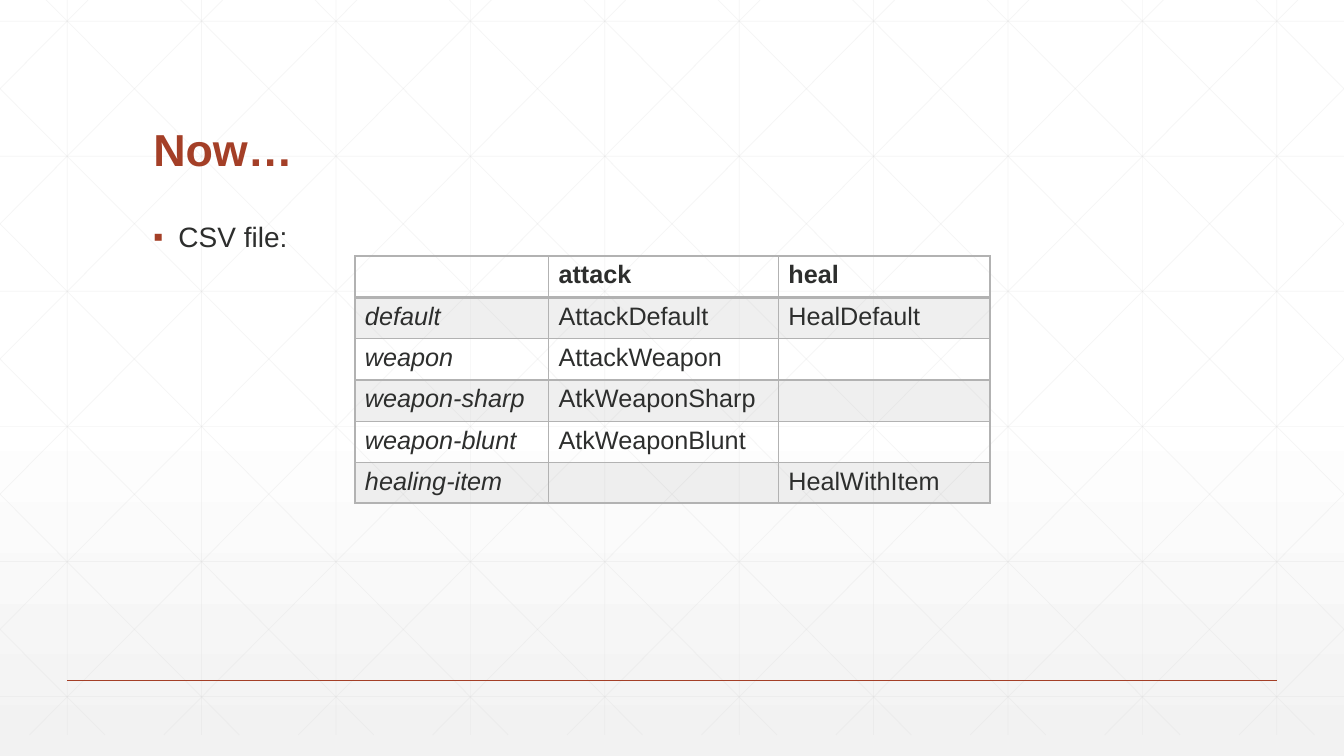
from copy import deepcopy

from lxml import etree
from pptx import Presentation
from pptx import util as u
from pptx.dml.color import RGBColor
from pptx.enum import shapes, text
from pptx.oxml import ns

TITLE = "Now…"
BULLET = "CSV file:"
ROWS = [
    ("", "attack", "heal"),
    ("default", "AttackDefault", "HealDefault"),
    ("weapon", "AttackWeapon", ""),
    ("weapon-sharp", "AtkWeaponSharp", ""),
    ("weapon-blunt", "AtkWeaponBlunt", ""),
    ("healing-item", "", "HealWithItem"),
]
COLORS = {
    "accent": "A43F27", "ink": "2D2E2D", "rule": "B2B2B2",
    "mesh": "D9D9D9", "page": "FFFFFF", "shade": "F2F2F2",
}
FONT = "Arial"
NO_STYLE = "{2D5ABB26-0587-4C30-8999-92F81FD0307C}"
WIDTH, HEIGHT = 13.33, 7.5
CONTENT_LEFT, CONTENT_WIDTH = 1.42, 10.5
TABLE_LEFT, TABLE_TOP = 3.52, 2.54
COLUMN_WIDTHS = [1.92, 2.28, 2.1]
ROW_HEIGHTS = [0.41] * 4 + [0.39] * 2
STEP = WIDTH / 10
MESH_TOP, MESH_BOTTOM = -0.21, 7.29
MESH_ROW, MESH_ROW_STEP = 0.21, 1.34
DIAGONAL_START, DIAGONAL_RUN = 0.25, 7.455


def rgb(name):
    return RGBColor.from_string(COLORS[name])


def add_child(parent, tag, **attributes):
    return etree.SubElement(parent, ns.qn(tag), attributes)


def set_alpha(fill_parent, percent):
    color = fill_parent.find(".//" + ns.qn("a:srgbClr"))
    add_child(color, "a:alpha", val=str(percent * 1000))


def add_line(canvas, start, end, color, width, alpha=None):
    points = [u.Inches(value) for value in (*start, *end)]
    line = canvas.add_connector(shapes.MSO_CONNECTOR.STRAIGHT, *points)
    line.line.color.rgb = rgb(color)
    line.line.width = u.Pt(width)
    properties = line._element.spPr
    if alpha:
        set_alpha(properties, alpha)
    add_child(properties, "a:effectLst")


def add_text(para, words, size, color, bold=False, italic=False):
    span = para.add_run()
    span.text = words
    font = span.font
    font.name, font.size = FONT, u.Pt(size)
    font.bold, font.italic = bold, italic
    font.color.rgb = rgb(color)


def place(box, left, top, width, height):
    box.left, box.top = u.Inches(left), u.Inches(top)
    box.width, box.height = u.Inches(width), u.Inches(height)


def mesh_lines():
    for column in range(10):
        x = STEP * (column + 0.5)
        yield (x, 0), (x, MESH_BOTTOM)
    for row in range(6):
        y = MESH_ROW + MESH_ROW_STEP * row
        yield (0, y), (WIDTH, y)
    slope = (MESH_BOTTOM - MESH_TOP) / DIAGONAL_RUN
    for index in range(-5, 10):
        origin = DIAGONAL_START + STEP * index
        first = max(0, origin - MESH_TOP / slope)
        last = min(WIDTH, origin + DIAGONAL_RUN)
        ends = [(x, MESH_TOP + slope * (x - origin)) for x in (first, last)]
        yield ends
        yield [(WIDTH - x, y) for x, y in ends]


def paint_background(page):
    fill = page.background.fill
    fill.gradient()
    fill.gradient_angle = 270
    stop_list = page.background._cSld.find(".//" + ns.qn("a:gsLst"))
    stop_list.insert(1, deepcopy(stop_list[0]))
    stops = zip(fill.gradient_stops, [0, 0.53, 1], ["page", "page", "shade"])
    for stop, position, color in stops:
        stop.position = position
        stop.color.rgb = rgb(color)


def draw_mesh(page):
    group = page.shapes.add_group_shape()
    for start, end in mesh_lines():
        add_line(group.shapes, start, end, "mesh", 0.5, 25)
    page.shapes._spTree.insert(2, group._element)
    add_line(page.shapes, (STEP / 2, HEIGHT * 0.9),
             (WIDTH - STEP / 2, HEIGHT * 0.9), "accent", 1)


def write_title(page):
    box = page.shapes.title
    place(box, CONTENT_LEFT, 0.55, CONTENT_WIDTH, 1.25)
    box.text_frame.vertical_anchor = text.MSO_ANCHOR.BOTTOM
    box.text_frame.auto_size = text.MSO_AUTO_SIZE.NONE
    para = box.text_frame.paragraphs[0]
    para.alignment = text.PP_ALIGN.LEFT
    para.line_spacing = 0.9
    add_text(para, TITLE, 32, "accent", bold=True)


def write_body(page):
    box = page.placeholders[1]
    place(box, CONTENT_LEFT, 2.17, CONTENT_WIDTH, 4.17)
    box.text_frame.auto_size = text.MSO_AUTO_SIZE.NONE
    para = box.text_frame.paragraphs[0]
    para.line_spacing, para.space_before = 0.9, u.Pt(18)
    properties = para._p.get_or_add_pPr()
    properties.set("marL", str(u.Inches(0.25)))
    properties.set("indent", str(u.Inches(-0.25)))
    add_child(add_child(properties, "a:buClr"), "a:srgbClr", val=COLORS["accent"])
    add_child(properties, "a:buFont", typeface=FONT)
    add_child(properties, "a:buChar", char="▪")
    add_text(para, BULLET, 20, "ink")


def border_cell(cell, widths):
    properties = cell._tc.get_or_add_tcPr()
    for index, (side, width) in enumerate(widths.items()):
        line = etree.Element(ns.qn("a:ln" + side), w=str(u.Pt(width)))
        fill = add_child(line, "a:solidFill")
        add_child(fill, "a:srgbClr", val=COLORS["rule"])
        properties.insert(index, line)


def build_table(page):
    frame = page.shapes.add_table(
        len(ROWS), len(COLUMN_WIDTHS), u.Inches(TABLE_LEFT), u.Inches(TABLE_TOP),
        u.Inches(sum(COLUMN_WIDTHS)), u.Inches(sum(ROW_HEIGHTS)))
    table = frame.table
    table._tbl.tblPr.find(ns.qn("a:tableStyleId")).text = NO_STYLE
    for column, width in zip(table.columns, COLUMN_WIDTHS):
        column.width = u.Inches(width)
    for r, (row, height) in enumerate(zip(ROWS, ROW_HEIGHTS)):
        table.rows[r].height = u.Inches(height)
        for c, words in enumerate(row):
            cell = table.cell(r, c)
            if r % 2:
                cell.fill.solid()
                cell.fill.fore_color.rgb = rgb("rule")
                set_alpha(cell._tc.tcPr, 20)
            else:
                cell.fill.background()
            border_cell(cell, {"L": 1, "R": 1, "T": 2 if r == 1 else 1,
                               "B": 2 if r == 0 else 1})
            if words:
                add_text(cell.text_frame.paragraphs[0], words, 18, "ink",
                         bold=r == 0, italic=r > 0 and c == 0)


def main():
    deck = Presentation()
    deck.slide_width, deck.slide_height = u.Inches(WIDTH), u.Inches(HEIGHT)
    page = deck.slides.add_slide(deck.slide_layouts[1])
    paint_background(page)
    draw_mesh(page)
    write_title(page)
    write_body(page)
    build_table(page)
    deck.save("out.pptx")


if __name__ == "__main__":
    main()
